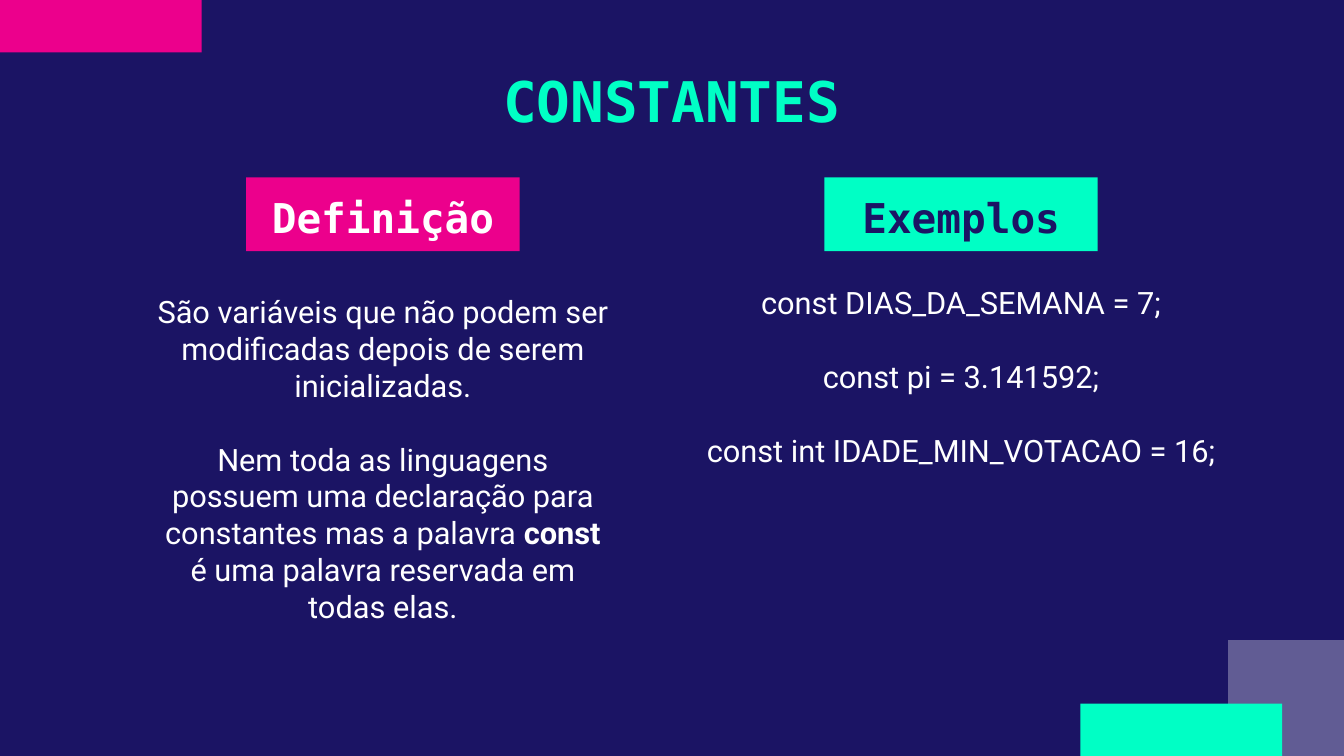
from dataclasses import dataclass

from lxml.etree import SubElement
from pptx import Presentation
from pptx.dml.color import RGBColor
from pptx.enum.shapes import MSO_SHAPE
from pptx.enum.text import MSO_ANCHOR, MSO_AUTO_SIZE, PP_ALIGN
from pptx.oxml.ns import qn
from pptx.util import Cm, Pt


@dataclass(frozen=True)
class Theme:
    navy: RGBColor = RGBColor.from_string("1B1464")
    pink: RGBColor = RGBColor.from_string("EC008C")
    mint: RGBColor = RGBColor.from_string("00FFC5")
    white: RGBColor = RGBColor.from_string("FFFFFF")
    heading_font: str = "DejaVu Sans Mono"
    body_font: str = "Roboto"
    title_size: Pt = Pt(40)
    label_size: Pt = Pt(29.3)
    body_size: Pt = Pt(22)
    paragraph_gap: Pt = Pt(26.4)


theme = Theme()


def add_rectangle(left, top, width, height, color):
    shape = slide.shapes.add_shape(
        MSO_SHAPE.RECTANGLE, Cm(left), Cm(top), Cm(width), Cm(height)
    )
    shape.shadow.inherit = False
    shape.fill.solid()
    shape.fill.fore_color.rgb = color
    shape.line.fill.background()
    return shape


def write_text(shape, paragraphs, font_name, size, color, anchor, inset):
    frame = shape.text_frame
    frame.word_wrap = True
    frame.auto_size = MSO_AUTO_SIZE.NONE
    frame.vertical_anchor = anchor
    frame.margin_left = frame.margin_right = Cm(inset)
    frame.margin_top = frame.margin_bottom = Cm(inset)
    for index, runs in enumerate(paragraphs):
        paragraph = frame.add_paragraph() if index else frame.paragraphs[0]
        paragraph.alignment = PP_ALIGN.CENTER
        paragraph.space_before = theme.paragraph_gap if index else Pt(0)
        for text, bold in runs:
            run = paragraph.add_run()
            run.text = text
            run.font.name = font_name
            run.font.size = size
            run.font.bold = bold
            run.font.color.rgb = color


presentation = Presentation()
presentation.slide_width = Cm(33.87)
presentation.slide_height = Cm(19.05)
slide = presentation.slides.add_slide(presentation.slide_layouts[5])
slide.background.fill.solid()
slide.background.fill.fore_color.rgb = theme.navy

add_rectangle(0, 0, 5.08, 1.32, theme.pink)
corner_square = add_rectangle(30.95, 16.13, 2.92, 2.92, theme.white)
corner_color = corner_square.fill._xPr.find(qn("a:solidFill"))[0]
SubElement(corner_color, qn("a:alpha")).set("val", "31000")
add_rectangle(27.23, 17.73, 5.08, 1.32, theme.mint)

title = slide.shapes.title
title.left, title.top, title.width, title.height = Cm(4.72), Cm(1.27), Cm(24.41), Cm(2.49)
write_text(
    title, [[("CONSTANTES", True)]], theme.heading_font, theme.title_size,
    theme.mint, MSO_ANCHOR.MIDDLE, 0.33,
)

definition = [
    [("São variáveis que não podem ser modificadas depois de serem inicializadas.", False)],
    [
        ("Nem toda as linguagens possuem uma declaração para constantes mas a palavra ", False),
        ("const", True),
        (" é uma palavra reservada em todas elas.", False),
    ],
]
examples = [
    [("const DIAS_DA_SEMANA = 7;", False)],
    [("const pi = 3.141592;", False)],
    [("const int IDADE_MIN_VOTACAO = 16;", False)],
]
columns = [
    ("Definição", theme.pink, theme.white, 9.65, 7.04, 12.07, definition),
    ("Exemplos", theme.mint, theme.navy, 24.22, 6.83, 14.25, examples),
]
label_width, label_height, body_height = 6.89, 1.86, 7.9

for heading, fill, color, center, body_top, body_width, paragraphs in columns:
    label = add_rectangle(center - label_width / 2, 4.47, label_width, label_height, fill)
    write_text(
        label, [[(heading, True)]], theme.heading_font, theme.label_size,
        color, MSO_ANCHOR.BOTTOM, 0.25,
    )
    body = slide.shapes.add_textbox(
        Cm(center - body_width / 2), Cm(body_top), Cm(body_width), Cm(body_height)
    )
    write_text(
        body, paragraphs, theme.body_font, theme.body_size,
        theme.white, MSO_ANCHOR.TOP, 0.33,
    )

presentation.save("out.pptx")
